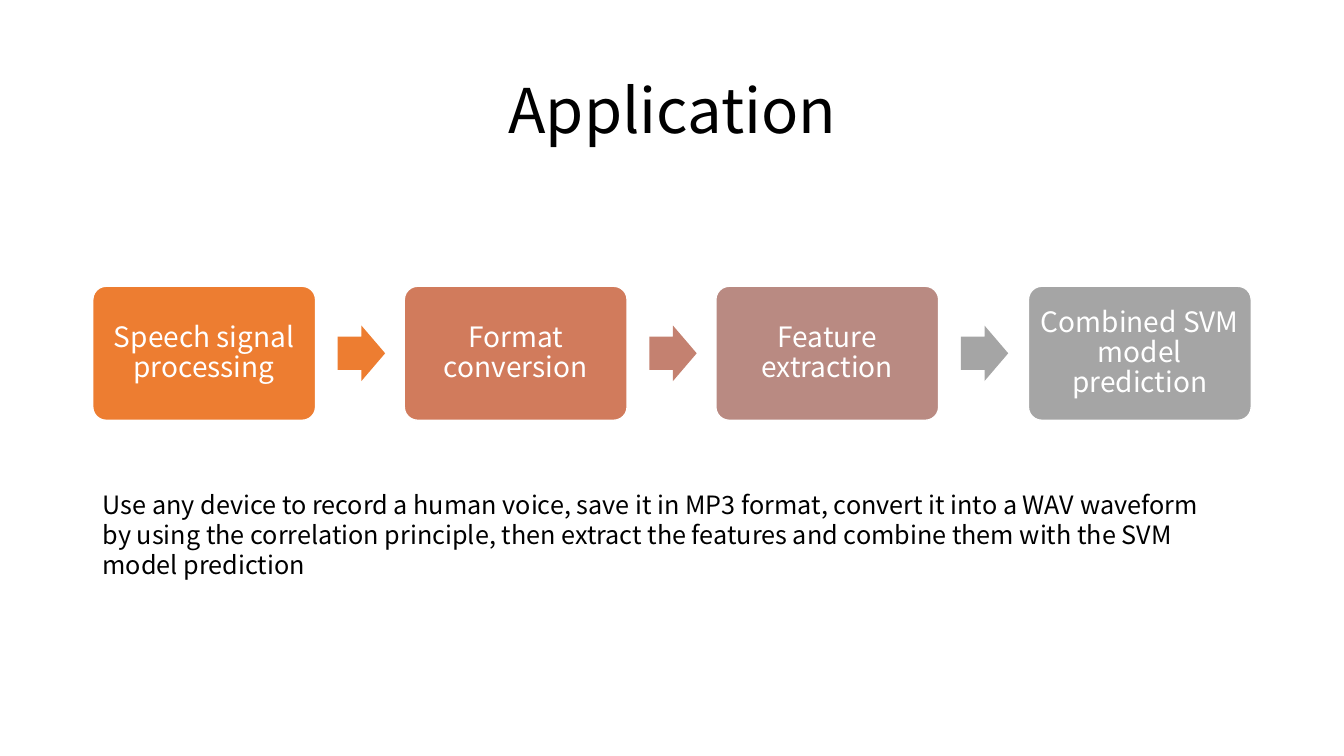
from dataclasses import dataclass

from pptx import Presentation
from pptx.dml.color import RGBColor as RGB
from pptx.enum.shapes import MSO_SHAPE as Shape
from pptx.enum.text import MSO_ANCHOR as Anchor, MSO_AUTO_SIZE as AutoSize, PP_ALIGN as Align
from pptx.util import Emu, Pt

PX = 9144  # EMU per px, 100 px to the inch


@dataclass(frozen=True)
class Theme:
    font: str = "Noto Sans CJK SC"
    ink: str = "000000"
    paper: str = "FFFFFF"
    step_fills: tuple = ("ED7D31", "D17B5C", "B98A82", "A5A5A5")
    arrow_fills: tuple = ("ED7D31", "C48170", "A5A5A5")
    title_size: int = 44
    step_size: int = 20
    note_size: int = 18


THEME = Theme()
STEPS = (
    "Speech signal processing",
    "Format conversion",
    "Feature extraction",
    "Combined SVM model prediction",
)
NOTE = (
    "Use any device to record a human voice, save it in MP3 format, "
    "convert it into a WAV waveform by using the correlation principle, "
    "then extract the features and combine them with the SVM model prediction"
)

# Process row, in px
ROW_LEFT, ROW_TOP, ROW_SPAN = 92, 284, 928
STEP_W, STEP_H = 221, 133
ARROW_W, ARROW_H, ARROW_GAP = 47, 55, 22


def px(*lengths):
    return [Emu(n * PX) for n in lengths]


def write(tf, text, size, color, align=Align.LEFT, spacing=1.0):
    tf.word_wrap = True
    tf.text = text
    p = tf.paragraphs[0]
    p.alignment, p.line_spacing = align, spacing
    p.font.name, p.font.size = THEME.font, Pt(size)
    p.font.color.rgb = RGB.from_string(color)


def add_block(slide, kind, box, fill, adjustments):
    sp = slide.shapes.add_shape(kind, *px(*box))
    sp.shadow.inherit = False
    sp.fill.solid()
    sp.fill.fore_color.rgb = RGB.from_string(fill)
    sp.line.fill.background()
    for i, value in enumerate(adjustments):
        sp.adjustments[i] = value
    return sp


def add_step(slide, left, text, fill):
    sp = add_block(slide, Shape.ROUNDED_RECTANGLE, (left, ROW_TOP, STEP_W, STEP_H), fill, [0.1])
    sp.line.color.rgb = RGB.from_string(THEME.paper)
    sp.line.width = Pt(1)
    tf = sp.text_frame
    tf.vertical_anchor = Anchor.MIDDLE
    tf.margin_left, tf.margin_top, tf.margin_right, tf.margin_bottom = px(8, 8, 8, 8)
    write(tf, text, THEME.step_size, THEME.paper, Align.CENTER, 0.9)


def add_arrow(slide, left, fill):
    top = ROW_TOP + (STEP_H - ARROW_H) // 2
    add_block(slide, Shape.RIGHT_ARROW, (left, top, ARROW_W, ARROW_H), fill, [0.6, 0.5])


def set_title(slide, text):
    sp = slide.shapes.title
    sp.left, sp.top, sp.width, sp.height = px(92, 40, 1150, 145)
    tf = sp.text_frame
    tf.auto_size = AutoSize.NONE
    tf.vertical_anchor = Anchor.MIDDLE
    write(tf, text, THEME.title_size, THEME.ink, Align.CENTER, 0.9)


def add_note(slide, text):
    tf = slide.shapes.add_textbox(*px(92, 480, 1133, 101)).text_frame
    write(tf, text, THEME.note_size, THEME.ink)
    tf.auto_size = AutoSize.SHAPE_TO_FIT_TEXT


def main():
    prs = Presentation()
    prs.slide_width, prs.slide_height = px(1333, 750)
    slide = prs.slides.add_slide(prs.slide_layouts[5])

    set_title(slide, "Application")

    # Steps, with an arrow after each but the last
    for i, (text, fill) in enumerate(zip(STEPS, THEME.step_fills)):
        left = ROW_LEFT + i * ROW_SPAN // (len(STEPS) - 1)
        add_step(slide, left, text, fill)
        if i < len(THEME.arrow_fills):
            add_arrow(slide, left + STEP_W + ARROW_GAP, THEME.arrow_fills[i])

    add_note(slide, NOTE)
    prs.save("out.pptx")


if __name__ == "__main__":
    main()
